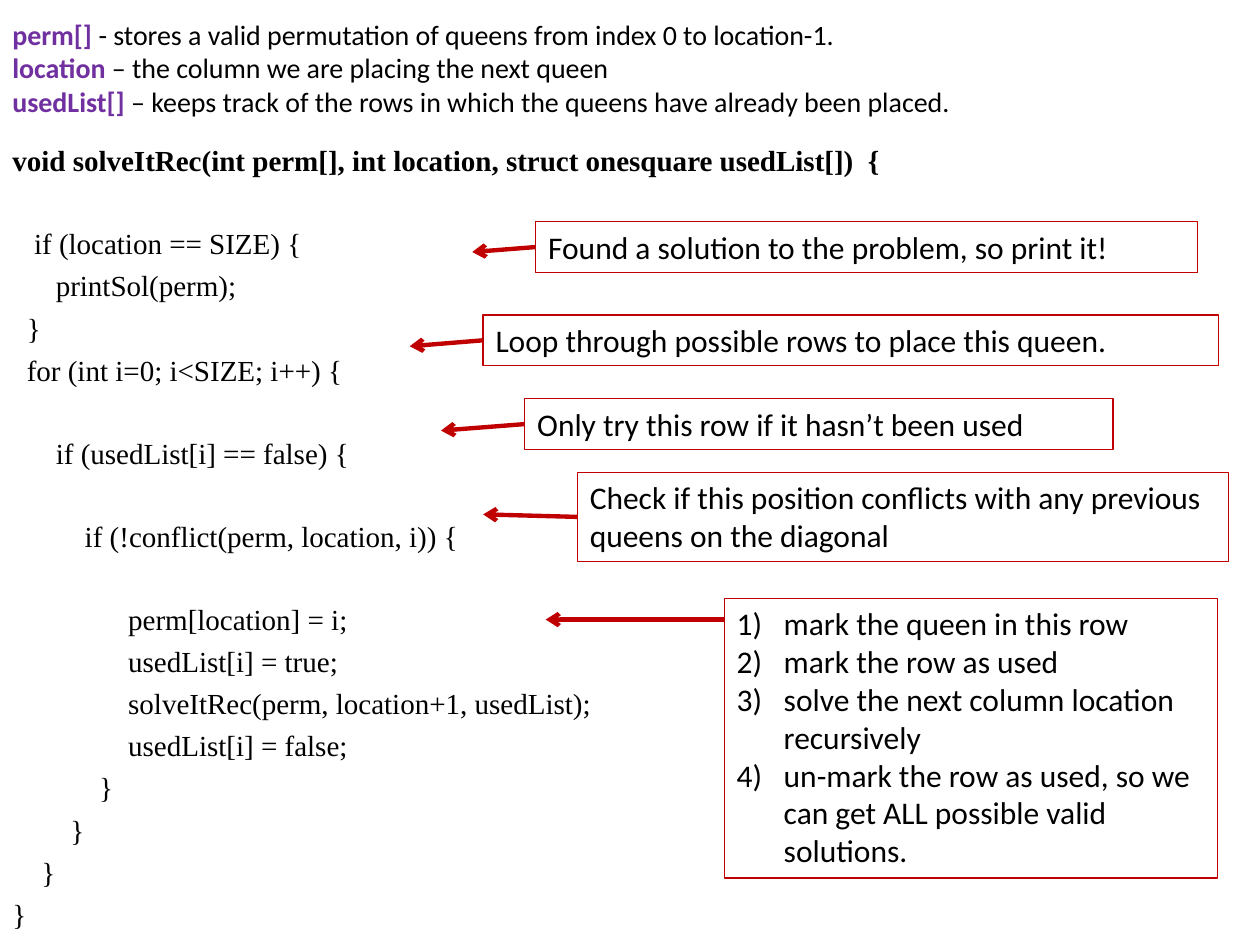
from lxml import etree
from pptx import Presentation
from pptx import util as u
from pptx.dml.color import RGBColor
from pptx.enum import shapes, text
from pptx.oxml import ns

THEME = {
    "ink": RGBColor(0, 0, 0),
    "key": RGBColor(0x70, 0x30, 0xA0),
    "red": RGBColor(0xC0, 0, 0),
    "paper": RGBColor(255, 255, 255),
    "body": {"name": "Calibri", "size": u.Pt(16)},
    "call": {"name": "Calibri", "size": u.Pt(18), "bold": False},
    "code": {"name": "Times New Roman", "size": u.Pt(16.6)},
    "edge": u.Pt(0.75),
    "arrow": u.Pt(2.5),
    "gap": 4.2,
    "line": 23.27,
    "hang": u.Cm(0.95),
}

TERMS = [
    ("perm[] ", "- stores a valid permutation of queens from index 0 to location-1."),
    ("location", " – the column we are placing the next queen"),
    ("usedList[] ", "– keeps track of the rows in which the queens have already been placed."),
]

CODE = """void solveItRec(int perm[], int location, struct onesquare usedList[])  {

   if (location == SIZE) {
      printSol(perm);
  }
  for (int i=0; i<SIZE; i++) {

      if (usedList[i] == false) {

          if (!conflict(perm, location, i)) {

                perm[location] = i;
                usedList[i] = true;
                solveItRec(perm, location+1, usedList);
                usedList[i] = false;
            }
        }
    }
}"""

NOTES = [
    ((10.8, 4.47, 13.34, 1.02), (9.52, 5.08),
     ["Found a solution to the problem, so print it!"]),
    ((9.74, 6.35, 14.82, 1.02), (8.26, 6.98),
     ["Loop through possible rows to place this queen."]),
    ((10.58, 8.04, 11.86, 1.02), (8.89, 8.68),
     ["Only try this row if it hasn’t been used"]),
    ((11.64, 9.52, 13.13, 1.8), (9.74, 10.37),
     ["Check if this position conflicts with any previous queens on the diagonal"]),
    ((14.6, 12.06, 9.95, 5.64), (11.0, 12.49),
     ["mark the queen in this row",
      "mark the row as used",
      "solve the next column location recursively",
      "un-mark the row as used, so we can get ALL possible valid solutions."]),
]


def style(item, form):
    for key, val in form.items():
        setattr(item, key, val)


def cms(vals):
    return [u.Cm(v) for v in vals]


def frame(box):
    style(box.text_frame, {
        "word_wrap": True,
        "auto_size": text.MSO_AUTO_SIZE.NONE,
        "vertical_anchor": text.MSO_ANCHOR.TOP,
    })
    return box.text_frame


def lines(area, count):
    return [area.paragraphs[0]] + [area.add_paragraph() for _ in range(count - 1)]


def write(para, words, form, hue="ink"):
    run = para.add_run()
    run.text = words
    style(run.font, form)
    run.font.color.rgb = THEME[hue]


def number(para):
    props = para._p.get_or_add_pPr()
    props.set("marL", str(THEME["hang"]))
    props.set("indent", str(-THEME["hang"]))
    etree.SubElement(props, ns.qn("a:buFont"), typeface="+mj-lt")
    etree.SubElement(props, ns.qn("a:buAutoNum"), type="arabicParenR")


def add_code(slide):
    box = slide.shapes.add_textbox(*cms((0, 2.75, 19.9, 16.3)))
    box.fill.solid()
    box.fill.fore_color.rgb = THEME["paper"]
    rows, skip = [], 0
    for row in CODE.split("\n"):
        if row:
            rows.append((row, skip))
            skip = 0
        else:
            skip += 1
    paras = lines(frame(box), len(rows))
    for i, (para, (row, skip)) in enumerate(zip(paras, rows)):
        para.space_before = u.Pt(THEME["gap"] + skip * THEME["line"] if i else 0)
        write(para, row, {**THEME["code"], "bold": i == 0})


def add_terms(slide):
    box = slide.shapes.add_textbox(*cms((0, 0.22, 23.28, 2.31)))
    for para, (term, note) in zip(lines(frame(box), len(TERMS)), TERMS):
        write(para, term, {**THEME["body"], "bold": True}, "key")
        write(para, note, {**THEME["body"], "bold": False})


def add_note(slide, place, tip, items):
    box = slide.shapes.add_shape(shapes.MSO_SHAPE.RECTANGLE, *cms(place))
    box.shadow.inherit = False
    box.fill.background()
    box.line.color.rgb = THEME["red"]
    box.line.width = THEME["edge"]
    for para, item in zip(lines(frame(box), len(items)), items):
        para.alignment = text.PP_ALIGN.LEFT
        if len(items) > 1:
            number(para)
        write(para, item, THEME["call"])

    start = (place[0], tip[1])
    line = slide.shapes.add_connector(shapes.MSO_CONNECTOR.STRAIGHT, *cms(start + tip))
    if len(items) == 1:
        line.begin_connect(box, 1)
    line.line.color.rgb = THEME["red"]
    line.line.width = THEME["arrow"]
    etree.SubElement(line.line._get_or_add_ln(), ns.qn("a:tailEnd"), type="arrow")
    etree.SubElement(line._element.spPr, ns.qn("a:effectLst"))


def main():
    deck = Presentation()
    deck.slide_width, deck.slide_height = cms((25.4, 19.05))
    slide = deck.slides.add_slide(deck.slide_layouts[6])
    add_code(slide)
    add_terms(slide)
    for note in NOTES:
        add_note(slide, *note)
    deck.save("out.pptx")


if __name__ == "__main__":
    main()
